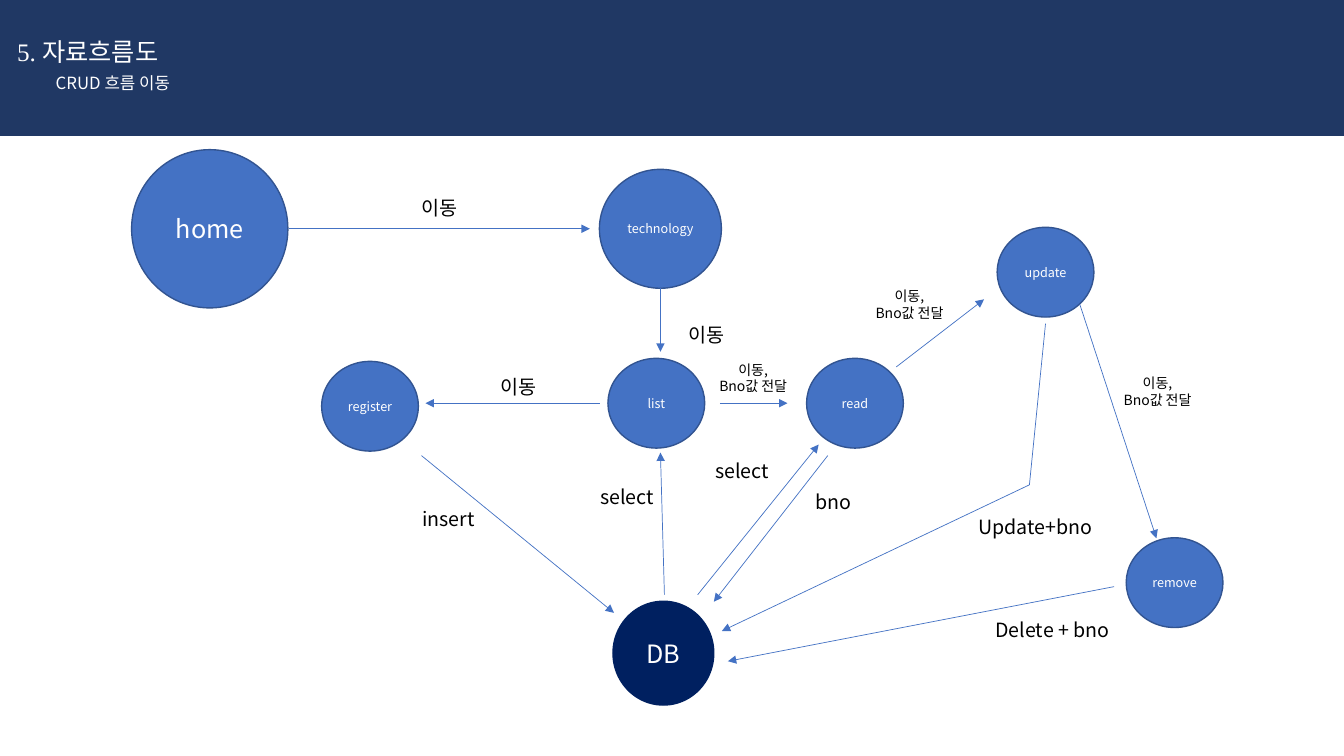
"""Build the CRUD data flow slide."""
from itertools import pairwise

from pptx import Presentation
from pptx.dml.color import RGBColor
from pptx.enum.shapes import MSO_CONNECTOR, MSO_SHAPE
from pptx.enum.text import MSO_ANCHOR, PP_ALIGN
from pptx.oxml.ns import qn
from pptx.util import Inches, Pt
from lxml.etree import SubElement

SLIDE_W, SLIDE_H, HEADER_H = 13.33, 7.5, 1.36
SANS, SERIF = "Noto Sans CJK KR", "Times New Roman"
NAVY, BLUE, RIM, DEEP = "203864", "4472C4", "325491", "002060"
WHITE, BLACK = "FFFFFF", "000000"

HEADINGS = [
    ("5. 자료흐름도", (0.87, 0.51), (1.73, 0.85), 18, SERIF),
    ("CRUD 흐름 이동", (1.12, 0.82), (2.64, 0.21), 12, SANS),
]

PAGE = (0.96, 0.89)
NODES = [
    ("home", (2.08, 2.27), (1.55, 1.57), 18, BLUE, RIM),
    ("technology", (6.55, 2.27), (1.21, 1.18), 9, BLUE, RIM),
    ("list", (6.51, 4), PAGE, 9, BLUE, RIM),
    ("register", (3.67, 4.03), PAGE, 9, BLUE, RIM),
    ("read", (8.48, 4), PAGE, 9, BLUE, RIM),
    ("update", (10.37, 2.7), PAGE, 9, BLUE, RIM),
    ("remove", (11.65, 5.78), PAGE, 9, BLUE, RIM),
    ("DB", (6.58, 6.48), (1, 1.03), 18, DEEP, DEEP),
]

MOVE, MOVE_BNO = "이동", "이동,\nBno값 전달"
FLOWS = [
    (MOVE, (4.36, 2.06), [(2.87, 2.27), (5.85, 2.27)]),
    (MOVE, (7.01, 3.32), [(6.55, 2.86), (6.55, 3.49)]),
    (MOVE, (5.14, 3.84), [(5.95, 4), (4.22, 4)]),
    (MOVE_BNO, (7.47, 3.75), [(7.14, 4), (7.81, 4)]),
    (MOVE_BNO, (9.02, 3.02), [(8.89, 3.64), (9.76, 2.97)]),
    (MOVE_BNO, (11.48, 3.88), [(10.71, 3.02), (11.47, 5.34)]),
    ("insert", (4.45, 5.15), [(4.18, 4.52), (6.09, 6.08)]),
    ("select", (6.22, 4.93), [(6.59, 5.9), (6.55, 4.49)]),
    ("select", (7.36, 4.67), [(6.92, 5.9), (8.12, 4.41)]),
    ("bno", (8.27, 4.98), [(8.21, 4.52), (7.08, 5.97)]),
    ("Update+bno", (10.27, 5.23), [(10.37, 3.21), (10.21, 4.81), (7.16, 6.26)]),
    ("Delete + bno", (10.44, 6.25), [(11.05, 5.82), (7.22, 6.56)]),
]


def paint(color_format, hex_color):
    """Set a colour from a hex string."""
    color_format.rgb = RGBColor.from_string(hex_color)


def box(center, size):
    """Turn a centre and a size into left, top, width and height."""
    (x, y), (w, h) = center, size
    return [Inches(v) for v in (x - w / 2, y - h / 2, w, h)]


def write(shape, text, size, color, font=SANS):
    """Write centred lines of text into a shape."""
    frame = shape.text_frame
    frame.word_wrap = True
    frame.vertical_anchor = MSO_ANCHOR.MIDDLE
    frame.margin_left = frame.margin_right = frame.margin_top = frame.margin_bottom = 0
    for index, line in enumerate(text.split("\n")):
        paragraph = frame.add_paragraph() if index else frame.paragraphs[0]
        paragraph.alignment = PP_ALIGN.CENTER
        paragraph.space_before = Pt(0)
        paragraph.line_spacing = 1.0
        run = paragraph.add_run()
        run.text = line
        run.font.size = Pt(size)
        run.font.name = font
        paint(run.font.color, color)
        SubElement(run.font._element, qn("a:ea"), typeface=SANS)


def add_filled(slide, kind, bounds, fill, line):
    """Add a flat preset shape."""
    shape = slide.shapes.add_shape(kind, *bounds)
    shape.shadow.inherit = False
    shape.fill.solid()
    paint(shape.fill.fore_color, fill)
    paint(shape.line.color, line)
    shape.line.width = Pt(1)
    return shape


def add_flow(slide, points):
    """Join the points with lines and put an arrowhead at the last one."""
    for start, end in pairwise(points):
        ends = [Inches(v) for v in (*start, *end)]
        flow = slide.shapes.add_connector(MSO_CONNECTOR.STRAIGHT, *ends)
        paint(flow.line.color, BLUE)
        flow.line.width = Pt(0.5)
        if end == points[-1]:
            SubElement(flow.line._get_or_add_ln(), qn("a:tailEnd"), type="triangle")
        SubElement(flow._element.spPr, qn("a:effectLst"))


def main():
    """Build and save the slide."""
    deck = Presentation()
    deck.slide_width, deck.slide_height = Inches(SLIDE_W), Inches(SLIDE_H)
    slide = deck.slides.add_slide(deck.slide_layouts[0])
    slide.background.fill.solid()
    paint(slide.background.fill.fore_color, NAVY)

    for heading, (text, center, size, points, font) in zip(slide.placeholders, HEADINGS):
        heading.left, heading.top, heading.width, heading.height = box(center, size)
        write(heading, text, points, WHITE, font)

    canvas = [Inches(v) for v in (0, HEADER_H, SLIDE_W, SLIDE_H - HEADER_H)]
    add_filled(slide, MSO_SHAPE.RECTANGLE, canvas, WHITE, WHITE)

    for name, center, size, points, fill, rim in NODES:
        node = add_filled(slide, MSO_SHAPE.OVAL, box(center, size), fill, rim)
        write(node, name, points, WHITE)

    for label, center, points in FLOWS:
        add_flow(slide, points)
        size, text_size = ((1.48, 0.33), 10) if "\n" in label else ((1.56, 0.23), 14)
        write(slide.shapes.add_textbox(*box(center, size)), label, text_size, BLACK)

    deck.save("out.pptx")


if __name__ == "__main__":
    main()
